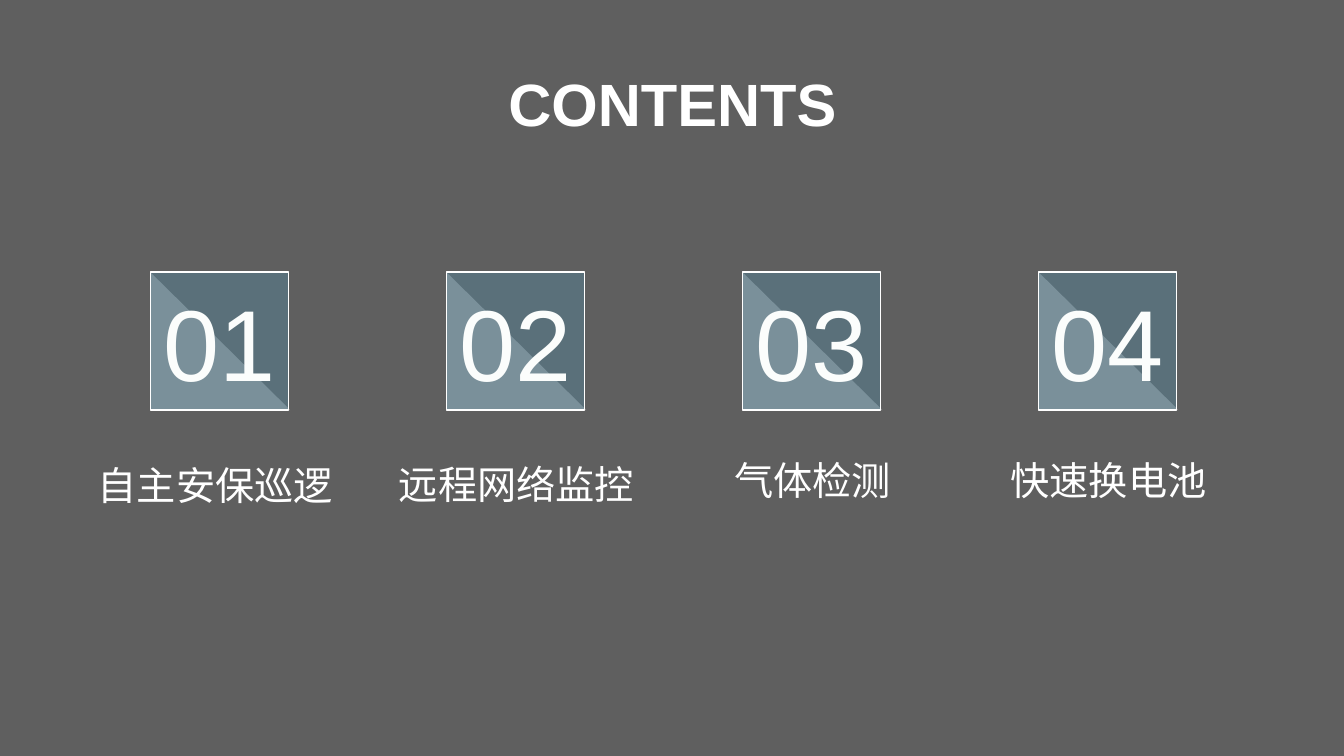
from dataclasses import dataclass

from lxml import etree
from pptx import Presentation
from pptx import util as u
from pptx.dml.color import RGBColor
from pptx.enum import shapes, text
from pptx.oxml.ns import qn


@dataclass(frozen=True)
class Theme:
    """Colours, font and type sizes of the slide."""
    background: str = "5F5F5F"
    white: str = "FFFFFF"
    number: str = "FBFDFC"
    tile: str = "47B6E7"
    font: str = "Arial"
    title_size: float = 42.6
    number_size: float = 72
    label_size: float = 28


class ContentsSlide:
    """Draws the elements of a contents slide in one theme."""

    def __init__(self, prs, theme):
        """Add a title-only slide with a plain background."""
        self.theme = theme
        self.s = prs.slides.add_slide(prs.slide_layouts[5])
        fill = self.s.background.fill
        fill.solid()
        fill.fore_color.rgb = RGBColor.from_string(theme.background)

    def set_text(self, sp, words, size, color, anchor, bold=False, spacing=1.0):
        """Put one centred paragraph in a shape."""
        tf = sp.text_frame
        frame = {"word_wrap": True, "auto_size": text.MSO_AUTO_SIZE.NONE,
                 "vertical_anchor": anchor}
        for name, value in frame.items():
            setattr(tf, name, value)
        p = tf.paragraphs[0]
        p.alignment = text.PP_ALIGN.CENTER
        p.line_spacing = spacing
        r = p.add_run()
        r.text = words
        style = {"name": self.theme.font, "size": u.Pt(size), "bold": bold}
        for name, value in style.items():
            setattr(r.font, name, value)
        r.font.color.rgb = RGBColor.from_string(color)

    def title(self, words, left, top, width, height):
        """Move the title placeholder and fill it."""
        sp = self.s.shapes.title
        box = {"left": left, "top": top, "width": width, "height": height}
        for name, value in box.items():
            setattr(sp, name, u.Inches(value))
        self.set_text(sp, words, self.theme.title_size, self.theme.white,
                      text.MSO_ANCHOR.MIDDLE, bold=True)

    def glass(self, group, kind, box, color, opacity):
        """Add a translucent shape without an outline to a group."""
        sp = group.shapes.add_shape(kind, *map(u.Inches, box))
        sp.shadow.inherit = False
        sp.fill.solid()
        sp.fill.fore_color.rgb = RGBColor.from_string(color)
        clr = sp._element.spPr.find(".//" + qn("a:srgbClr"))
        etree.SubElement(clr, qn("a:alpha"), val=str(opacity * 1000))
        sp.line.fill.background()
        return sp

    def tile(self, number, left, top, size):
        """Add a numbered square over a light triangle."""
        group = self.s.shapes.add_group_shape()
        self.glass(group, shapes.MSO_SHAPE.RIGHT_TRIANGLE,
                   (left, top, size + 0.02, size), self.theme.white, 25)
        sp = self.glass(group, shapes.MSO_SHAPE.RECTANGLE,
                        (left, top, size, size), self.theme.tile, 20)
        sp.line.color.rgb = RGBColor.from_string(self.theme.white)
        sp.line.width = u.Pt(1)
        self.set_text(sp, number, self.theme.number_size, self.theme.number,
                      text.MSO_ANCHOR.MIDDLE)

    def label(self, words, left, top, width, height, spacing):
        """Add a section name."""
        sp = self.s.shapes.add_textbox(*map(u.Inches, (left, top, width, height)))
        self.set_text(sp, words, self.theme.label_size, self.theme.white,
                      text.MSO_ANCHOR.TOP, spacing=spacing)


def main():
    """Build the contents slide and save it."""
    prs = Presentation()
    prs.slide_width, prs.slide_height = u.Inches(13.33), u.Inches(7.5)
    slide = ContentsSlide(prs, Theme())
    slide.title("CONTENTS", 4.78, 0.6, 3.78, 0.84)
    sections = [("自主安保巡逻", 0.65, 4.39, 1.3), ("远程网络监控", 0.6, 4.38, 1.3),
                ("气体检测", 0.6, 4.38, 1.2), ("快速换电池", 0.6, 4.38, 1.2)]
    first, last = 1.49, 10.3
    pitch = (last - first) / (len(sections) - 1)
    for i, (name, outset, top, spacing) in enumerate(sections):
        left = first + i * pitch
        slide.tile(f"{i + 1:02d}", left, 2.7, 1.37)
        slide.label(name, left - outset, top, 2.59, 1.94, spacing)
    prs.save("out.pptx")


if __name__ == "__main__":
    main()
